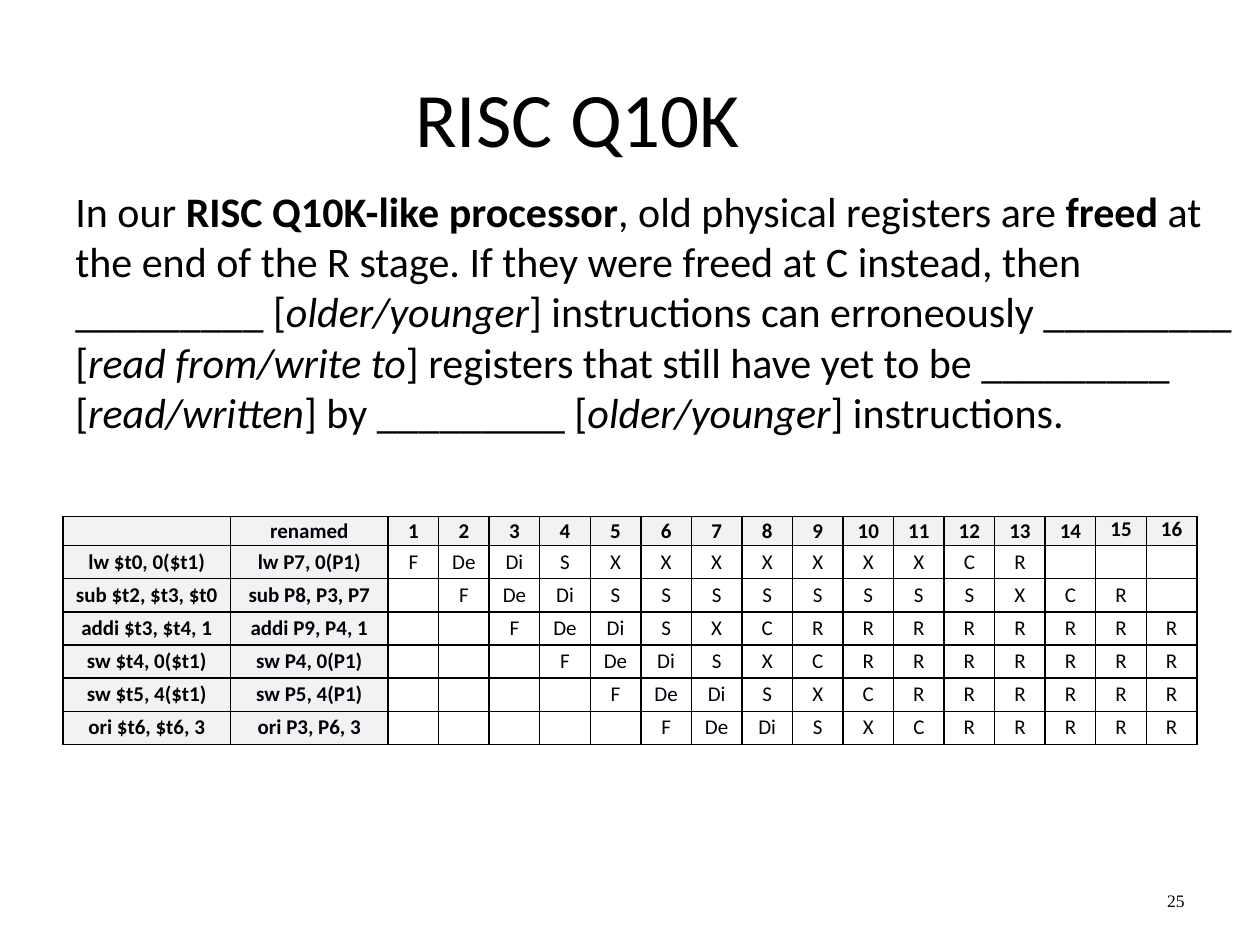
from dataclasses import dataclass

from lxml import etree
from pptx import Presentation
from pptx.dml.color import RGBColor
from pptx.enum import text
from pptx.oxml import ns
from pptx.util import Inches, Pt


@dataclass(frozen=True)
class Theme:
    ink: str = "000000"
    renamed_ink: str = "00000A"
    label_fill: str = "F2F2F2"
    stage_fill: str = "FFFFFF"
    font: str = "Calibri"
    number_font: str = "Times New Roman"
    title_size: int = 44
    body_size: int = 24
    table_size: int = 12
    number_size: int = 10
    border: int = 1


THEME = Theme()
WIDTH, HEIGHT = 10, 7.5
CYCLES = 16
CENTER, MIDDLE = text.PP_ALIGN.CENTER, text.MSO_ANCHOR.MIDDLE

# Each question part is its wording and its style
QUESTION = [
    ("In our ", ""),
    ("RISC Q10K-like processor", "bold"),
    (", old physical registers are ", ""),
    ("freed", "bold"),
    (" at the end of the R stage. If they were freed at C instead, then _________ [", ""),
    ("older/younger", "italic"),
    ("] instructions can erroneously _________ [", ""),
    ("read from/write to", "italic"),
    ("] registers that still have yet to be _________ [", ""),
    ("read/written", "italic"),
    ("] by _________ [", ""),
    ("older/younger", "italic"),
    ("] instructions.", ""),
]

# Instruction, renamed form, and stages; each row is fetched one cycle later
FRONT = ["F", "De", "Di", "S"]
EARLY = FRONT + ["X", "C"] + ["R"] * CYCLES
PIPELINE = [
    ("lw $t0, 0($t1)", "lw P7, 0(P1)", FRONT + ["X"] * 7 + ["C", "R"]),
    ("sub $t2, $t3, $t0", "sub P8, P3, P7", FRONT + ["S"] * 7 + ["X", "C", "R"]),
    ("addi $t3, $t4, 1", "addi P9, P4, 1", EARLY),
    ("sw $t4, 0($t1)", "sw P4, 0(P1)", EARLY),
    ("sw $t5, 4($t1)", "sw P5, 4(P1)", EARLY),
    ("ori $t6, $t6, 3", "ori P3, P6, 3", EARLY),
]


def add_run(paragraph, wording, size, color=THEME.ink, font=THEME.font, style=""):
    run = paragraph.add_run()
    run.text = wording
    run.font.name = font
    run.font.size = Pt(size)
    run.font.color.rgb = RGBColor.from_string(color)
    run.font.bold = style == "bold"
    run.font.italic = style == "italic"


def add_text_frame(slide, box):
    frame = slide.shapes.add_textbox(*map(Inches, box)).text_frame
    frame.word_wrap = True
    return frame


def place_title(slide, box):
    title = slide.shapes.title
    title.left, title.top, title.width, title.height = map(Inches, box)
    title.text_frame.vertical_anchor = MIDDLE
    heading = title.text_frame.paragraphs[0]
    heading.alignment = CENTER
    add_run(heading, "RISC Q10K", THEME.title_size)


def place_question(slide, box):
    question = add_text_frame(slide, box).paragraphs[0]
    for wording, style in QUESTION:
        add_run(question, wording, THEME.body_size, style=style)


def place_number(slide, box):
    frame = add_text_frame(slide, box)
    frame.vertical_anchor = MIDDLE
    number = frame.paragraphs[0]
    number.alignment = text.PP_ALIGN.RIGHT
    add_run(number, "25", THEME.number_size, font=THEME.number_font)


def set_borders(cell):
    properties = cell._tc.get_or_add_tcPr()
    for position, side in enumerate(("lnL", "lnR", "lnT", "lnB")):
        line = etree.Element(ns.qn(f"a:{side}"), w=str(Pt(THEME.border)))
        fill = etree.SubElement(line, ns.qn("a:solidFill"))
        etree.SubElement(fill, ns.qn("a:srgbClr"), val=THEME.ink)
        properties.insert(position, line)


def fill_cell(cell, wording, is_label, color, anchor):
    cell.margin_left = cell.margin_right = Inches(0.07)
    cell.margin_top = cell.margin_bottom = 0
    cell.vertical_anchor = anchor
    cell.fill.solid()
    cell.fill.fore_color.rgb = RGBColor.from_string(
        THEME.label_fill if is_label else THEME.stage_fill)
    set_borders(cell)
    paragraph = cell.text_frame.paragraphs[0]
    paragraph.alignment = CENTER
    if wording:
        add_run(paragraph, wording, THEME.table_size, color,
                style="bold" if is_label else "")
    else:
        # An empty cell still takes its row height from the type size
        paragraph._p.get_or_add_endParaRPr().set("sz", str(THEME.table_size * 100))


def place_pipeline(slide, box):
    rows = [["", "renamed"] + [str(cycle + 1) for cycle in range(CYCLES)]]
    for delay, (instruction, renamed, stages) in enumerate(PIPELINE):
        timeline = [""] * delay + stages + [""] * CYCLES
        rows.append([instruction, renamed] + timeline[:CYCLES])

    width, height = box[2:]
    table = slide.shapes.add_table(len(rows), CYCLES + 2, *map(Inches, box)).table
    table.first_row = table.horz_banding = False

    # Two label columns, then equal cycles; a low header, then equal rows
    labels, header = [1.33, 1.25], 0.23
    cycle_width = (width - sum(labels)) / CYCLES
    for column, size in zip(table.columns, labels + [cycle_width] * CYCLES):
        column.width = Inches(size)
    row_height = (height - header) / len(PIPELINE)
    for row, size in zip(table.rows, [header] + [row_height] * len(PIPELINE)):
        row.height = Inches(size)

    for r, row in enumerate(rows):
        for c, wording in enumerate(row):
            color = THEME.renamed_ink if c == 1 or (r and c > 1) else THEME.ink
            top_aligned = r == 0 and c >= CYCLES
            fill_cell(table.cell(r, c), wording, r == 0 or c < 2, color,
                      text.MSO_ANCHOR.TOP if top_aligned else MIDDLE)


def main():
    deck = Presentation()
    deck.slide_width, deck.slide_height = Inches(WIDTH), Inches(HEIGHT)
    slide = deck.slides.add_slide(deck.slide_layouts[5])

    margin = WIDTH * 0.05
    place_title(slide, (margin, HEIGHT * 0.04, 8.17, 1.25))
    place_question(slide, (margin, 1.42, WIDTH - margin, 2.33))
    place_number(slide, (8.33, 6.95, WIDTH - margin - 8.33, 0.4))
    place_pipeline(slide, (margin, 4.1, WIDTH - 2 * margin, 1.81))
    deck.save("out.pptx")


if __name__ == "__main__":
    main()
